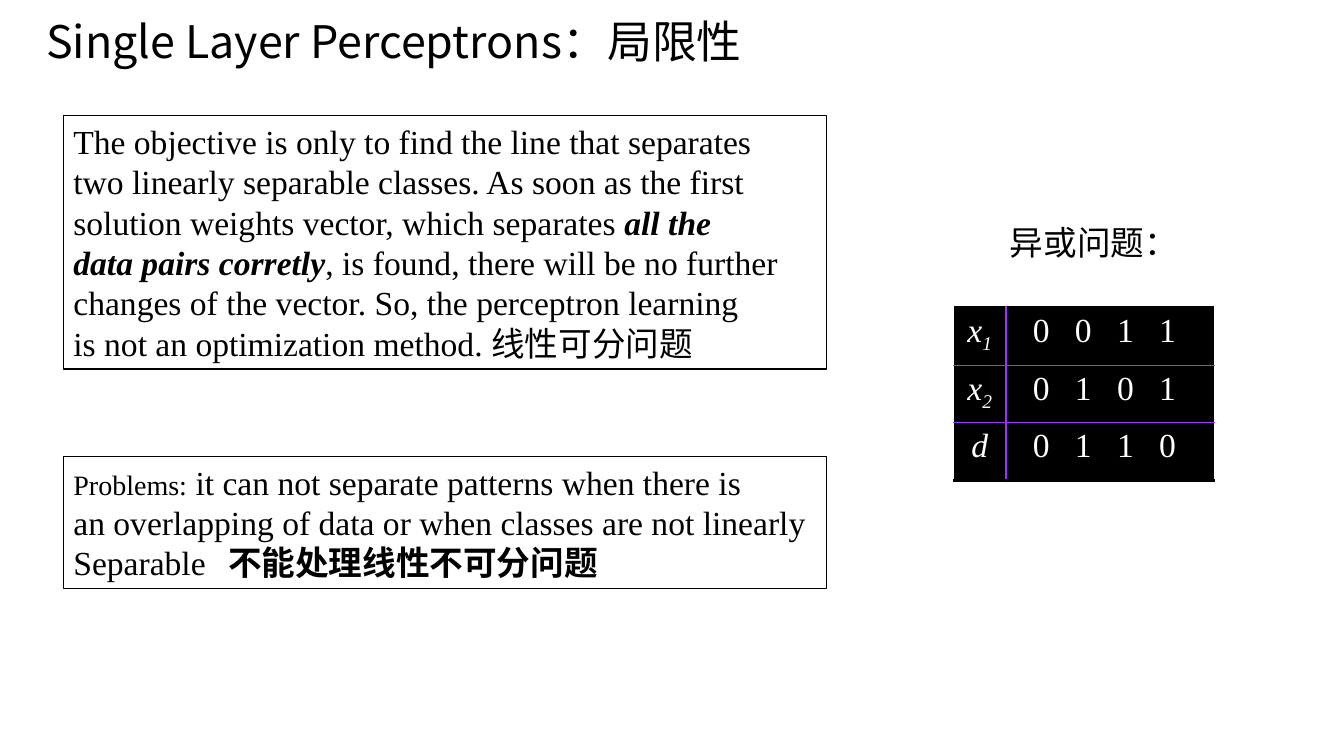
from pptx import Presentation
from pptx.dml.color import RGBColor
from pptx.enum.shapes import MSO_SHAPE
from pptx.enum.text import MSO_ANCHOR, MSO_AUTO_SIZE, PP_ALIGN
from pptx.oxml.ns import qn
from pptx.util import Cm, Pt
from lxml.etree import SubElement

BLACK = RGBColor(0x00, 0x00, 0x00)
WHITE = RGBColor(0xFF, 0xFF, 0xFF)
PURPLE = RGBColor(0x99, 0x33, 0xFF)
SANS = "Noto Sans CJK SC"
SERIF = "Times New Roman"

PLAIN = {"size": Pt(24), "name": SERIF, "bold": False, "italic": False}
SMALL = {**PLAIN, "size": Pt(20)}
BOLD = {**PLAIN, "bold": True}
ITALIC = {**PLAIN, "italic": True}
STRONG = {**BOLD, "italic": True}
HEADING = {**PLAIN, "size": Pt(32), "name": SANS}

TITLE = [[("Single Layer Perceptrons：局限性", HEADING)]]
LABEL = [[("异或问题：", PLAIN)]]
OBJECTIVE = [
    [("The objective is only to find the line that separates ", PLAIN)],
    [("two linearly separable classes. As soon as the first", PLAIN)],
    [("solution weights vector, which separates ", PLAIN), ("all the ", STRONG)],
    [("data pairs corretly", STRONG), (", is found, there will be no further", PLAIN)],
    [("changes of the vector. So, the perceptron learning ", PLAIN)],
    [("is not an optimization method. 线性可分问题", PLAIN)],
]
PROBLEMS = [
    [("Problems:", SMALL), (" it can not separate patterns when there is", PLAIN)],
    [("an overlapping of data or when classes are not linearly", PLAIN)],
    [("Separable\t", PLAIN), ("不能处理线性不可分问题", BOLD)],
]
BOXES = [
    (OBJECTIVE, 2.92, 6.38, PP_ALIGN.JUSTIFY, []),
    (PROBLEMS, 11.51, 3.33, PP_ALIGN.LEFT, [3.9]),
]
XOR_ROWS = [("x", "1", "0011"), ("x", "2", "0101"), ("d", "", "0110")]
COLUMN_WIDTHS = [1.32, 5.25]
ROW_HEIGHT = 1.45
DIGIT_STEP = 1.06


def set_tabs(paragraph, stops):
    if stops:
        tab_list = SubElement(paragraph._p.get_or_add_pPr(), qn("a:tabLst"))
        for stop in stops:
            SubElement(tab_list, qn("a:tab"), pos=str(Cm(stop)), algn="l")


def add_run(paragraph, text, formats, color):
    run = paragraph.add_run()
    run.text = text
    for name, value in formats.items():
        setattr(run.font, name, value)
    run.font.color.rgb = color
    SubElement(run._r.get_or_add_rPr(), qn("a:ea"), typeface=SANS)
    return run


def write_text(shape, lines, align=PP_ALIGN.LEFT, wrap=True, stops=()):
    frame = shape.text_frame
    frame.word_wrap = wrap
    frame.auto_size = MSO_AUTO_SIZE.SHAPE_TO_FIT_TEXT
    frame.vertical_anchor = MSO_ANCHOR.TOP
    for index, runs in enumerate(lines):
        paragraph = frame.add_paragraph() if index else frame.paragraphs[0]
        set_tabs(paragraph, stops)
        paragraph.alignment = align
        paragraph.space_before = Pt(0)
        paragraph.line_spacing = Pt(1.2 * max(formats["size"].pt for _, formats in runs))
        for text, formats in runs:
            add_run(paragraph, text, formats, BLACK)


def set_border(cell, side, color, width):
    line = SubElement(cell._tc.get_or_add_tcPr(), qn(f"a:{side}"), w=str(Pt(width)))
    fill = SubElement(line, qn("a:solidFill"))
    SubElement(fill, qn("a:srgbClr"), val=str(color))


def format_cell(cell, row, column):
    inner, outer = (PURPLE, 1), (BLACK, 2.25)
    set_border(cell, "lnL" if column else "lnR", *inner)
    set_border(cell, "lnT", *(inner if row else outer))
    set_border(cell, "lnB", *(inner if row < len(XOR_ROWS) - 1 else outer))
    cell.fill.solid()
    cell.fill.fore_color.rgb = BLACK


def add_xor_table(slide):
    table = slide.shapes.add_table(
        len(XOR_ROWS), 2, Cm(24.03), Cm(7.75),
        Cm(sum(COLUMN_WIDTHS)), Cm(ROW_HEIGHT * len(XOR_ROWS))).table
    table.first_row = table.horz_banding = False
    for column, width in zip(table.columns, COLUMN_WIDTHS):
        column.width = Cm(width)
    for row, (variable, subscript, digits) in enumerate(XOR_ROWS):
        table.rows[row].height = Cm(ROW_HEIGHT)
        name_cell, value_cell = table.cell(row, 0), table.cell(row, 1)
        format_cell(name_cell, row, 0)
        format_cell(value_cell, row, 1)
        name = name_cell.text_frame.paragraphs[0]
        name.alignment = PP_ALIGN.CENTER
        add_run(name, variable, ITALIC, WHITE)
        if subscript:
            run = add_run(name, subscript, ITALIC, WHITE)
            run._r.get_or_add_rPr().set("baseline", "-25000")
        value_cell.margin_left = Cm(0.68)
        values = value_cell.text_frame.paragraphs[0]
        set_tabs(values, [DIGIT_STEP * index for index in range(1, len(digits))])
        add_run(values, "\t".join(digits), PLAIN, WHITE)


def main():
    presentation = Presentation()
    presentation.slide_width, presentation.slide_height = Cm(33.87), Cm(19.05)
    slide = presentation.slides.add_slide(presentation.slide_layouts[5])

    title = slide.shapes.title
    title.left, title.top, title.width, title.height = Cm(0.91), Cm(0.23), Cm(18.47), Cm(1.63)
    write_text(title, TITLE, wrap=False)

    for lines, top, height, align, stops in BOXES:
        box = slide.shapes.add_shape(
            MSO_SHAPE.RECTANGLE, Cm(1.6), Cm(top), Cm(19.23), Cm(height))
        box.shadow.inherit = False
        box.fill.background()
        box.line.color.rgb = BLACK
        box.line.width = Pt(0.75)
        write_text(box, lines, align, stops=stops)

    add_xor_table(slide)
    label = slide.shapes.add_textbox(Cm(25.2), Cm(5.46), Cm(4.75), Cm(1.27))
    write_text(label, LABEL, wrap=False)
    presentation.save("out.pptx")


if __name__ == "__main__":
    main()
